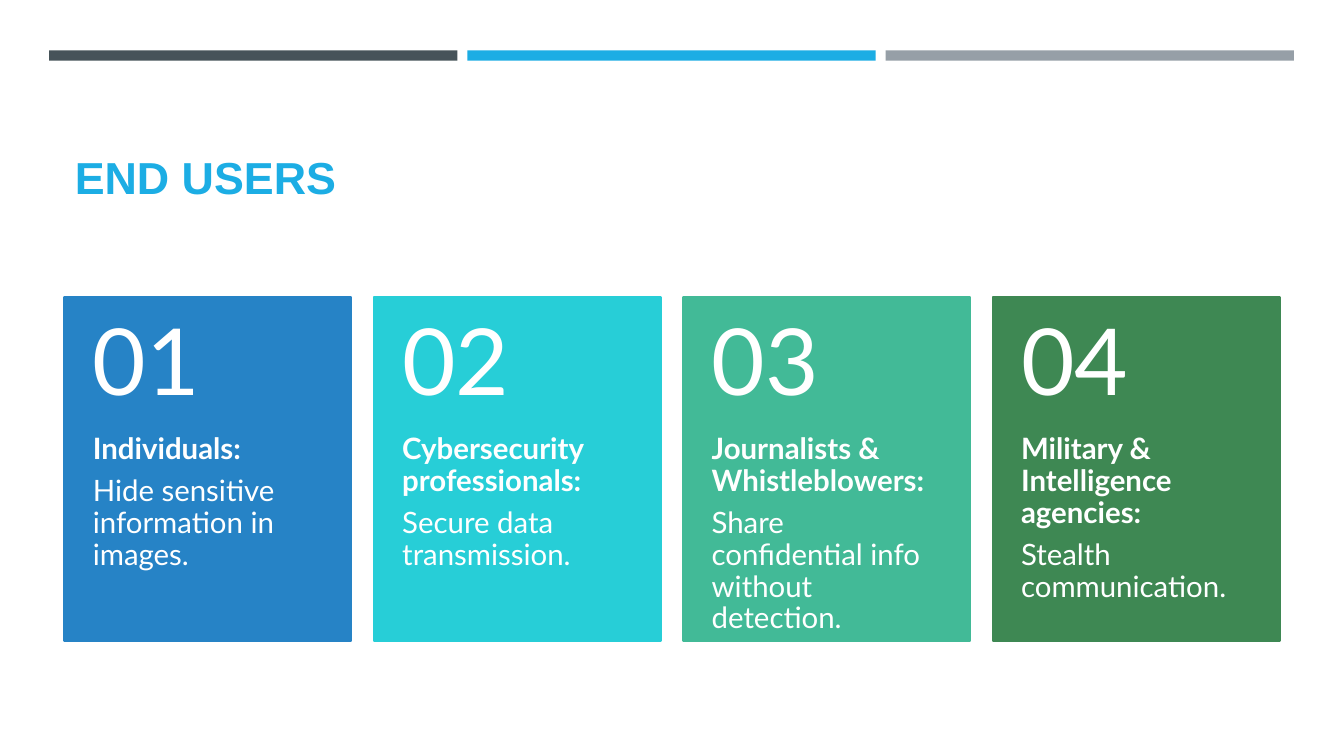
from pptx import Presentation
from pptx.dml.color import RGBColor
from pptx.enum.shapes import MSO_SHAPE
from pptx.enum.text import MSO_ANCHOR, MSO_AUTO_SIZE, PP_ALIGN
from pptx.util import Cm, Pt

WHITE = RGBColor(0xFF, 0xFF, 0xFF)
SLATE = RGBColor(0x46, 0x53, 0x59)
SKY = RGBColor(0x1C, 0xAD, 0xE4)
GREY = RGBColor(0x96, 0x9F, 0xA7)
BLUE = RGBColor(0x26, 0x83, 0xC6)
TURQUOISE = RGBColor(0x27, 0xCE, 0xD7)
MINT = RGBColor(0x42, 0xBA, 0x97)
GREEN = RGBColor(0x3E, 0x88, 0x53)

END_USERS = [
    (BLUE, "Individuals:", "Hide sensitive information in images."),
    (TURQUOISE, "Cybersecurity professionals:", "Secure data transmission."),
    (MINT, "Journalists & Whistleblowers:", "Share confidential info without detection."),
    (GREEN, "Military & Intelligence agencies:", "Stealth communication."),
]
SPACE_AFTER_RATIO = 0.35


def add_rectangle(slide, left, top, width, height, color):
    shape = slide.shapes.add_shape(MSO_SHAPE.RECTANGLE, left, top, width, height)
    shape.shadow.inherit = False
    shape.fill.solid()
    shape.fill.fore_color.rgb = color
    shape.line.fill.background()
    return shape


def format_runs(paragraph, font_name, size, color, bold):
    for run in paragraph.runs:
        run.font.name = font_name
        run.font.size = Pt(size)
        run.font.color.rgb = color
        run.font.bold = bold


def add_header_bars(slide, left, top, width, height):
    colors = [SLATE, SKY, GREY]
    gap = Cm(0.25)
    bar_width = (width - gap * (len(colors) - 1)) // len(colors)
    for index, color in enumerate(colors):
        bar_left = left + index * (bar_width + gap)
        add_rectangle(slide, bar_left, top, bar_width, height, color)


def add_title(slide, left, top, width, height):
    title = slide.shapes.title
    title.left, title.top, title.width, title.height = left, top, width, height
    text_frame = title.text_frame
    text_frame.text = "END USERS"
    text_frame.auto_size = MSO_AUTO_SIZE.NONE
    text_frame.vertical_anchor = MSO_ANCHOR.BOTTOM
    paragraph = text_frame.paragraphs[0]
    paragraph.alignment = PP_ALIGN.LEFT
    format_runs(paragraph, "Arial", 32, SKY, True)


def add_card_text(slide, left, top, width, height, lines, size, anchor, margin_top, margin_bottom):
    text_frame = slide.shapes.add_textbox(left, top, width, height).text_frame
    text_frame.word_wrap = True
    text_frame.vertical_anchor = anchor
    text_frame.margin_left = text_frame.margin_right = Cm(0.71)
    text_frame.margin_top = margin_top
    text_frame.margin_bottom = margin_bottom
    text_frame.text = "\n".join(text for text, bold in lines)
    for paragraph, (text, bold) in zip(text_frame.paragraphs, lines):
        paragraph.line_spacing = 0.9
        paragraph.space_after = Pt(size * SPACE_AFTER_RATIO)
        format_runs(paragraph, "Lato", size, WHITE, bold)


def add_card(slide, left, top, width, height, number, color, heading, description):
    card = add_rectangle(slide, left, top, width, height, color)
    card.line.color.rgb = color
    card.line.width = Pt(1.75)
    number_height = int(height * 0.4)
    add_card_text(slide, left, top + number_height, width, height - number_height,
                  [(heading, True), (description, False)], 21, MSO_ANCHOR.TOP, 0, Cm(0.91))
    add_card_text(slide, left, top, width, number_height,
                  [(f"{number:02}", False)], 66, MSO_ANCHOR.MIDDLE, Cm(0.46), Cm(0.46))


def add_cards(slide, left, top, width, height):
    gap = Cm(0.58)
    card_width = (width - gap * (len(END_USERS) - 1)) // len(END_USERS)
    for index, end_user in enumerate(END_USERS):
        card_left = left + index * (card_width + gap)
        add_card(slide, card_left, top, card_width, height, index + 1, *end_user)


def main():
    presentation = Presentation()
    presentation.slide_width = Cm(33.87)
    presentation.slide_height = Cm(19.05)
    slide = presentation.slides.add_slide(presentation.slide_layouts[5])
    add_header_bars(slide, Cm(1.24), Cm(1.27), Cm(31.37), Cm(0.26))
    add_title(slide, Cm(1.63), Cm(1.96), Cm(30.63), Cm(3.3))
    add_cards(slide, Cm(1.63), Cm(7.48), Cm(30.61), Cm(8.67))
    presentation.save("out.pptx")


if __name__ == "__main__":
    main()
